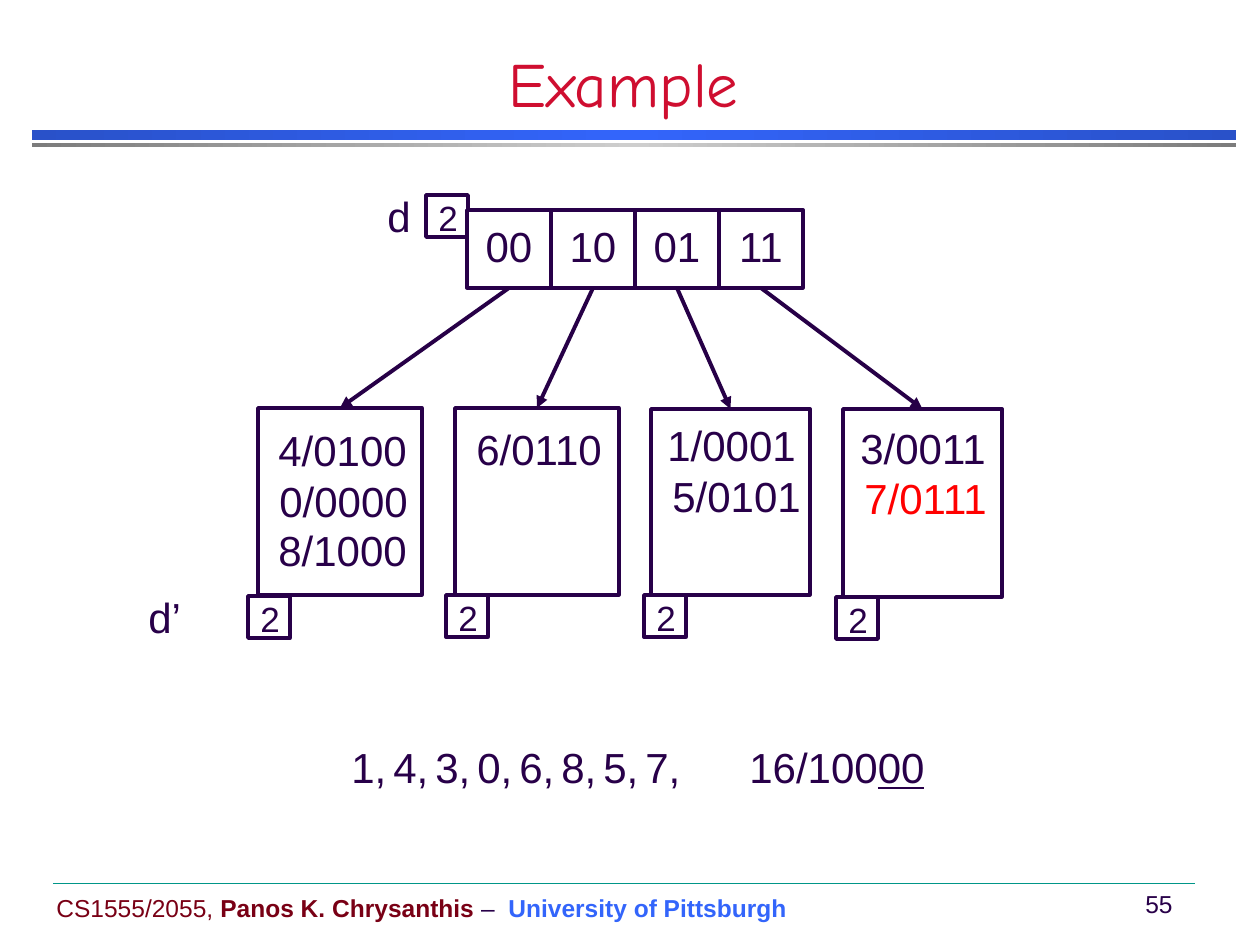
"""Build the extendible hashing example slide."""
import copy

import pptx
import pptx.dml.color
import pptx.enum.shapes
import pptx.enum.text
import pptx.oxml.ns
import pptx.util

PX = 914400 / 126
INK, ARROW_INK, RED = "280049", "270047", "FF0000"
RECT = pptx.enum.shapes.MSO_SHAPE.RECTANGLE
STRAIGHT = pptx.enum.shapes.MSO_CONNECTOR.STRAIGHT
LEFT, CENTER = pptx.enum.text.PP_ALIGN.LEFT, pptx.enum.text.PP_ALIGN.CENTER
TOP, MIDDLE, BOTTOM = (pptx.enum.text.MSO_ANCHOR.TOP, pptx.enum.text.MSO_ANCHOR.MIDDLE,
                       pptx.enum.text.MSO_ANCHOR.BOTTOM)

TITLE = "Example"
DIRECTORY = ["00", "10", "01", "11"]
BUCKETS = [
    {"box": (258, 408, 164, 187), "depth": (248, 596),
     "entries": [("4/0100", 266, 418, INK), ("0/0000", 267, 469, INK),
                 ("8/1000", 266, 518, INK)]},
    {"box": (455, 408, 164, 187), "depth": (446, 595),
     "entries": [("6/0110", 464, 417, INK)]},
    {"box": (651, 409, 159, 186), "depth": (644, 595),
     "entries": [("1/0001", 655, 413, INK), ("5/0101", 660, 464, INK)]},
    {"box": (843, 409, 159, 188), "depth": (836, 597),
     "entries": [("3/0011", 848, 416, INK), ("7/0111", 852, 466, RED)]},
]
DEPTH_LABELS = [("d", 375, 184), ("d’", 136, 585)]
INSERTED = ["1,", "4,", "3,", "0,", "6,", "8,", "5,", "7,"]
NEXT_KEY = [("16/100", {}), ("00", {"underline": True})]
FOOTER = [
    ("CS1555/2055, ", {"color": "790015"}),
    ("Panos K. Chrysanthis", {"color": "790015", "bold": True}),
    (" –  ", {}),
    ("University of Pittsburgh", {"color": "3365FB", "bold": True}),
]
PAGE = "55"
BANDS = [((32, 130, 1204, 10), "2951C9", "3365FB"),
         ((32, 143, 1204, 4), "7C7C7C", "CECECE")]


def px(*lengths):
    return [pptx.util.Emu(round(length * PX)) for length in lengths]


def rgb(color):
    return pptx.dml.color.RGBColor.from_string(color)


def write(shape, text, size=24, font="Arial", color=INK, align=LEFT, anchor=TOP,
          spacing=None):
    frame = shape.text_frame
    frame.word_wrap = True
    frame.vertical_anchor = anchor
    paragraph = frame.paragraphs[0]
    paragraph.alignment = align
    if spacing:
        paragraph.line_spacing = spacing
    for words, style in [(text, {})] if isinstance(text, str) else text:
        run = paragraph.add_run()
        run.text = words
        run.font.name = font
        run.font.size = pptx.util.Pt(size)
        run.font.bold = style.get("bold", False)
        run.font.underline = style.get("underline", False)
        run.font.color.rgb = rgb(style.get("color", color))


def label(slide, text, left, top, width, height=64, **style):
    box = slide.shapes.add_textbox(*px(left, top, width, height))
    write(box, text, **style)


def framed(slide, left, top, width, height):
    box = slide.shapes.add_shape(RECT, *px(left, top, width, height))
    box.shadow.inherit = False
    box.fill.solid()
    box.fill.fore_color.rgb = rgb("FFFFFF")
    box.line.color.rgb = rgb(INK)
    box.line.width = pptx.util.Pt(2)
    return box


def depth_box(slide, left, top):
    write(framed(slide, left, top, 42, 42), "2", size=20, spacing=0.9)


def band(slide, place, edge, middle):
    bar = slide.shapes.add_shape(RECT, *px(*place))
    bar.shadow.inherit = False
    bar.line.fill.background()
    bar.fill.gradient()
    bar.fill.gradient_angle = 0
    for stop in bar.fill.gradient_stops:
        stop.color.rgb = rgb(edge)
    stops = bar.element.spPr.find(".//" + pptx.oxml.ns.qn("a:gsLst"))
    stops.insert(1, copy.deepcopy(stops[0]))
    stops[1].set("pos", "50000")
    bar.fill.gradient_stops[1].color.rgb = rgb(middle)


def straight(slide, start, end, color, width):
    line = slide.shapes.add_connector(STRAIGHT, *px(*start, *end))
    line.line.color.rgb = rgb(color)
    line.line.width = pptx.util.Pt(width)
    pptx.oxml.ns.qn("a:effectLst")
    line.element.spPr.append(
        line.element.spPr.makeelement(pptx.oxml.ns.qn("a:effectLst"), {}))
    return line


def arrow(slide, cell, bucket):
    link = straight(slide, (0, 0), (1, 1), ARROW_INK, 2.25)
    link.begin_connect(cell, 2)
    link.end_connect(bucket, 0)
    outline = link.line._get_or_add_ln()
    outline.append(outline.makeelement(pptx.oxml.ns.qn("a:tailEnd"), {"type": "triangle"}))


def main():
    deck = pptx.Presentation()
    deck.slide_width, deck.slide_height = px(1260, 945)
    slide = deck.slides.add_slide(deck.slide_layouts[5])

    for place, edge, middle in BANDS:
        band(slide, place, edge, middle)
    straight(slide, (53, 883), (1195, 883), "009688", 0.25)
    label(slide, FOOTER, 44, 889, 800, 38, size=14, anchor=MIDDLE)
    label(slide, PAGE, 1128, 883, 62, 42, size=14, align=CENTER, anchor=MIDDLE)

    title = slide.shapes.title
    title.left, title.top, title.width, title.height = px(0, 53, 1247, 73)
    write(title, TITLE, size=36, font="Comic Neue", color="CF0E30", align=CENTER,
          anchor=BOTTOM)

    for i, key in enumerate(INSERTED):
        label(slide, key, 339 + 42 * i, 735, 73)
    label(slide, NEXT_KEY, 737, 735, 266)

    for text, left, top in DEPTH_LABELS:
        label(slide, text, left, top, 60)
    depth_box(slide, 426, 195)

    for i, (key, bucket) in enumerate(zip(DIRECTORY, BUCKETS)):
        cell = framed(slide, 467 + 84 * i, 210, 84, 78)
        write(cell, key, align=CENTER, anchor=MIDDLE, spacing=0.9)
        box = framed(slide, *bucket["box"])
        depth_box(slide, *bucket["depth"])
        for text, left, top, color in bucket["entries"]:
            label(slide, text, left, top, 160, color=color)
        arrow(slide, cell, box)

    deck.save("out.pptx")


if __name__ == "__main__":
    main()
